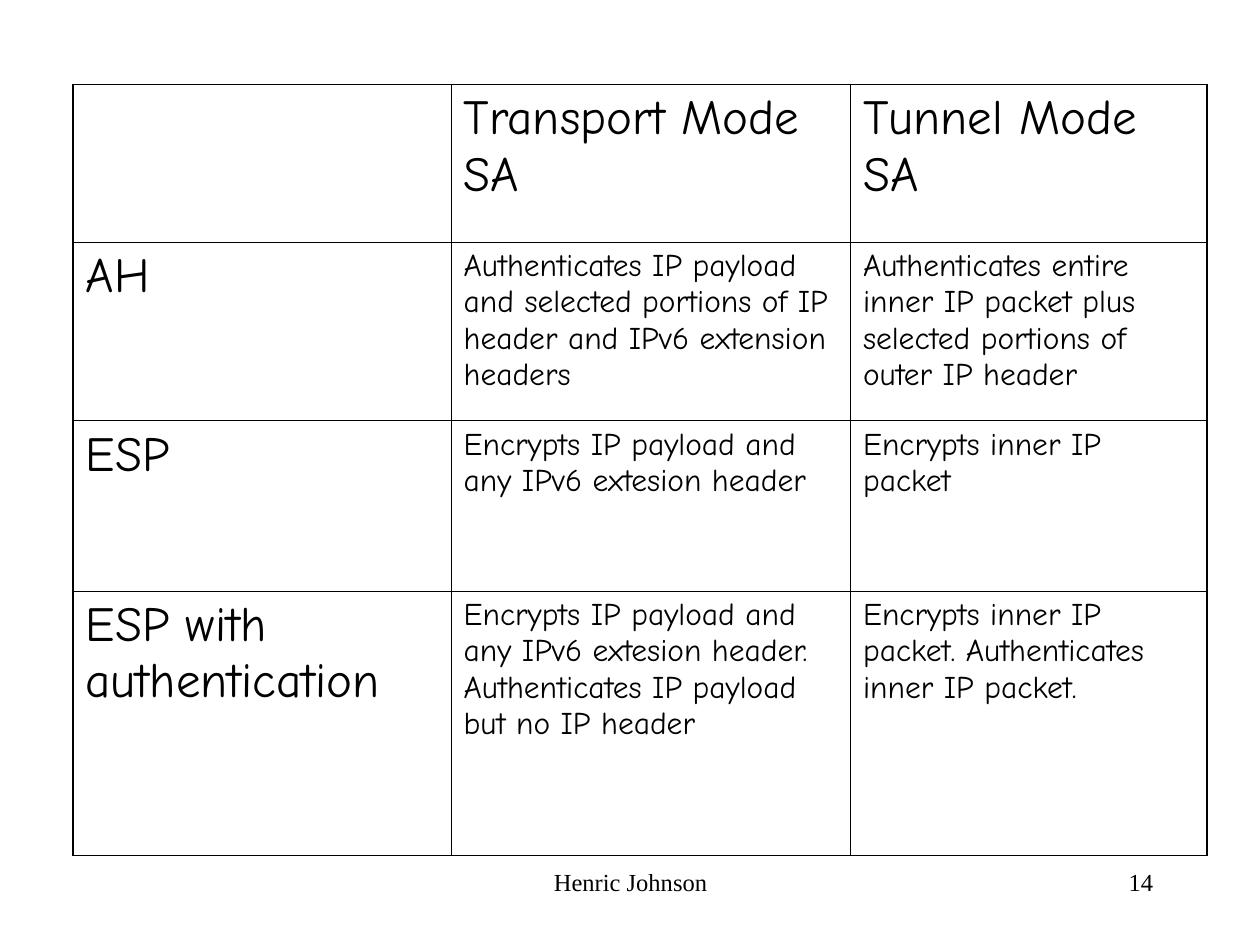
"""Build a slide with a table of AH and ESP services in transport and tunnel mode."""
from lxml import etree
from pptx import Presentation
from pptx.dml.color import RGBColor
from pptx.enum.text import PP_ALIGN
from pptx.oxml.ns import qn
from pptx.util import Inches, Pt

CENTER, RIGHT = PP_ALIGN.CENTER, PP_ALIGN.RIGHT
BLACK = "000000"
THIN, THICK = 0.45, 1.08
COLS = [3, 3.17, 2.83]
ROWS = [1.25, 1.42, 1.35, 2.1]
CELLS = [
    ["", "Transport Mode SA", "Tunnel Mode SA"],
    ["AH",
     "Authenticates IP payload and selected portions of IP header and IPv6 extension headers",
     "Authenticates entire inner IP packet plus selected portions of outer IP header"],
    ["ESP",
     "Encrypts IP payload and any IPv6 extesion header",
     "Encrypts inner IP packet"],
    ["ESP with authentication",
     "Encrypts IP payload and any IPv6 extesion header. "
     "Authenticates IP payload but no IP header",
     "Encrypts inner IP packet. Authenticates inner IP packet."],
]
FOOTERS = [("Henric Johnson", 3.42, 3.17, CENTER), ("14", 7.17, 2.08, RIGHT)]


def add_run(p, text, size, font, color=BLACK):
    r = p.add_run()
    r.text = text
    r.font.size = Pt(size)
    r.font.name = font
    r.font.color.rgb = RGBColor.from_string(color)


def add_border(cell, side, width, color=BLACK):
    ln = etree.SubElement(cell._tc.get_or_add_tcPr(), qn(f"a:ln{side}"), w=str(Pt(width)))
    fill = etree.SubElement(ln, qn("a:solidFill"))
    etree.SubElement(fill, qn("a:srgbClr"), val=color)


prs = Presentation()
prs.slide_width, prs.slide_height = Inches(10), Inches(7.5)
s = prs.slides.add_slide(prs.slide_layouts[6])

table = s.shapes.add_table(
    len(ROWS), len(COLS), Inches(0.58), Inches(0.67),
    Inches(sum(COLS)), Inches(sum(ROWS))).table
table.first_row = table.horz_banding = False
for col, width in zip(table.columns, COLS):
    col.width = Inches(width)
for row, height in zip(table.rows, ROWS):
    row.height = Inches(height)

for i, texts in enumerate(CELLS):
    for j, text in enumerate(texts):
        cell = table.cell(i, j)
        outer = {"L": j == 0, "R": j == len(COLS) - 1,
                 "T": i == 0, "B": i == len(ROWS) - 1}
        for side, is_outer in outer.items():
            add_border(cell, side, THICK if is_outer else THIN)
        cell.fill.background()
        if text:
            add_run(cell.text_frame.paragraphs[0], text,
                    28 if i == 0 or j == 0 else 18, "Comic Neue")

for text, left, width, align in FOOTERS:
    tf = s.shapes.add_textbox(
        Inches(left), Inches(6.83), Inches(width), Inches(0.5)).text_frame
    tf.word_wrap = True
    p = tf.paragraphs[0]
    p.alignment = align
    add_run(p, text, 14, "Times New Roman")

prs.save("out.pptx")
